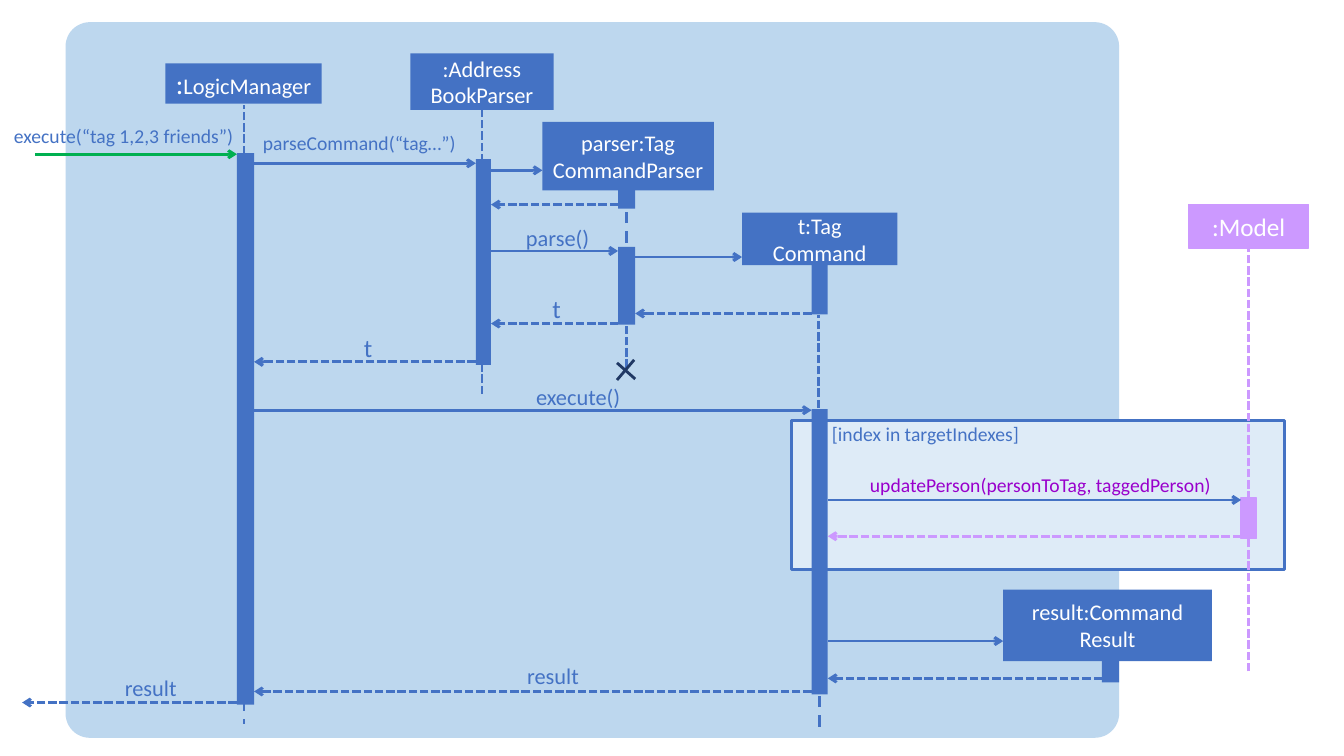
import pptx
import pptx.util
import pptx.dml.color
import pptx.enum.dml
import pptx.enum.shapes
import pptx.enum.text
import pptx.oxml.ns
import lxml.etree

COLORS = {
    "panel": "BDD7EE", "loop": "DEEBF7", "logic": "4472C4", "model": "CC99FF",
    "update": "9900CC", "entry": "00B050", "end": "203864", "white": "FFFFFF",
}
FONT = "Calibri"
LINE_WIDTH = 2
SLIDE_SIZE = (13.33, 7.5)
PANEL = (0.65, 0.22, 10.45, 7.1)
PANEL_ROUNDING = 0.034
LOOP = (7.85, 4.17, 4.89, 1.48)

HEADS = {
    "manager": ([":LogicManager"], (1.64, 0.63, 1.55, 0.4), 16, "logic"),
    "book parser": ([":Address", "BookParser"], (4.07, 0.53, 1.42, 0.56), 16, "logic"),
    "tag parser": (["parser:Tag", "CommandParser"], (5.38, 1.21, 1.7, 0.68), 16, "logic"),
    "command": (["t:Tag", "Command"], (7.36, 2.11, 1.54, 0.52), 16, "logic"),
    "result": (["result:Command", "Result"], (9.95, 5.85, 2.07, 0.71), 16, "logic"),
    "model": ([":Model"], (11.79, 2.03, 1.19, 0.43), 18, "model"),
}
EDGES = {
    "caller": (0.35, 0.35), "reply": (0.22, 0.22),
    "manager": (2.35, 2.52), "book parser": (4.72, 4.87),
    "tag parser": (6.13, 6.3), "command": (8.05, 8.21),
    "result": (10.93, 11.1), "model": (12.31, 12.46),
}
BARS = [
    ("manager", 1.52, 6.99), ("book parser", 1.58, 3.62),
    ("tag parser", 1.84, 2.07), ("tag parser", 2.45, 3.22),
    ("command", 2.63, 3.12), ("command", 4.06, 6.89),
    ("result", 6.54, 6.77), ("model", 4.94, 5.34),
]
LIFELINES = [
    (2.42, 1.53, 1.04, "sysDash", "logic"), (2.42, 6.94, 7.18, "dash", "logic"),
    (4.78, 1.61, 1.08, "sysDash", "logic"), (4.78, 3.91, 3.55, "sysDash", "logic"),
    (6.21, 2.8, 2.01, "dash", "logic"), (6.21, 3.65, 3.22, "sysDash", "logic"),
    (8.12, 4.05, 3.13, "sysDash", "logic"), (8.13, 7.21, 6.81, "dash", "logic"),
    (12.38, 4.96, 2.46, "sysDash", "model"), (12.38, 6.66, 5.28, "sysDash", "model"),
]
CALLS = [
    ("caller", "manager", 1.53, "entry"), ("manager", "book parser", 1.62, "logic"),
    ("book parser", "tag parser", 2.49, "logic"), ("manager", "command", 4.07, "logic"),
    ("command", "model", 4.96, "logic"),
]
CREATIONS = [
    ("book parser", "tag parser", 1.69), ("tag parser", "command", 2.55),
    ("command", "result", 6.36),
]
RETURNS = [
    ("tag parser", "book parser", 2.03, "logic"), ("command", "tag parser", 3.11, "logic"),
    ("tag parser", "book parser", 3.21, "logic"), ("book parser", "manager", 3.59, "logic"),
    ("model", "command", 5.32, "model"), ("result", "command", 6.73, "logic"),
    ("command", "manager", 6.86, "logic"), ("manager", "reply", 6.97, "logic"),
]
CROSS = [(6.12, 3.6, 6.3, 3.76), (6.29, 3.57, 6.12, 3.77)]
LABELS = [
    ("execute(“tag 1,2,3 friends”)", (0.04, 1.18, 2.4, 0.34), 14, "LEFT", "logic"),
    ("parseCommand(“tag…”)", (2.51, 1.25, 2.3, 0.34), 14, "LEFT", "logic"),
    ("parse()", (5.07, 2.17, 0.92, 0.37), 16, "CENTER", "logic"),
    ("t", (5.38, 2.86, 0.39, 0.4), 18, "LEFT", "logic"),
    ("t", (3.51, 3.25, 0.39, 0.4), 18, "LEFT", "logic"),
    ("execute()", (4.55, 3.75, 2.37, 0.37), 16, "CENTER", "logic"),
    ("[index in targetIndexes]", (8.12, 4.14, 2.12, 0.34), 14, "CENTER", "logic"),
    ("updatePerson(personToTag, taggedPerson)", (8.44, 4.64, 3.76, 0.34), 14, "CENTER", "update"),
    ("result", (4.3, 6.52, 2.37, 0.37), 16, "CENTER", "logic"),
    ("result", (1.09, 6.64, 0.81, 0.37), 16, "CENTER", "logic"),
]


def lengths(inches):
    return [pptx.util.Cm(value * 2.54) for value in inches]


def color(name):
    return pptx.dml.color.RGBColor.from_string(COLORS[name])


def add_block(page, place, fill, preset="RECTANGLE", outline=None, weight=1):
    kind = getattr(pptx.enum.shapes.MSO_SHAPE, preset)
    block = page.shapes.add_shape(kind, *lengths(place))
    block.shadow.inherit = False
    block.fill.solid()
    block.fill.fore_color.rgb = color(fill)
    if outline:
        block.line.color.rgb = color(outline)
        block.line.width = pptx.util.Pt(weight)
    else:
        block.line.fill.background()
    return block


def write(box, lines, size, ink, align="CENTER"):
    frame = box.text_frame
    frame.word_wrap = True
    frame.text = "\n".join(lines)
    for para in frame.paragraphs:
        para.alignment = getattr(pptx.enum.text.PP_ALIGN, align)
        for span in para.runs:
            span.font.name = FONT
            span.font.size = pptx.util.Pt(size)
            span.font.color.rgb = color(ink)


def add_line(page, ends, ink, dash=None, arrow=False):
    line = page.shapes.add_connector(pptx.enum.shapes.MSO_CONNECTOR.STRAIGHT, *lengths(ends))
    line.line.color.rgb = color(ink)
    line.line.width = pptx.util.Pt(LINE_WIDTH)
    if dash:
        styles = pptx.enum.dml.MSO_LINE
        line.line.dash_style = styles.DASH if dash == "dash" else styles.SQUARE_DOT
    qn = pptx.oxml.ns.qn
    properties = line._element.spPr
    if arrow:
        lxml.etree.SubElement(properties.find(qn("a:ln")), qn("a:tailEnd"), type="arrow")
    lxml.etree.SubElement(properties, qn("a:effectLst"))


def add_participants(page):
    for x, top, bottom, dash, ink in LIFELINES:
        add_line(page, (x, top, x, bottom), ink, dash)
    for lines, place, size, fill in HEADS.values():
        outline = "model" if fill == "model" else None
        write(add_block(page, place, fill, outline=outline), lines, size, "white")
    first_span = page.shapes[-len(HEADS)].text_frame.paragraphs[0].runs[0]
    first_span.text = ":"
    first_span.font.size = pptx.util.Pt(20)
    name_span = page.shapes[-len(HEADS)].text_frame.paragraphs[0].add_run()
    name_span.text = HEADS["manager"][0][0][1:]
    name_span.font.name = FONT
    name_span.font.size = pptx.util.Pt(16)
    name_span.font.color.rgb = color("white")
    for owner, top, bottom in BARS:
        left, right = EDGES[owner]
        fill = HEADS[owner][3]
        outline = "model" if fill == "model" else None
        add_block(page, (left, top, right - left, bottom - top), fill, outline=outline)


def add_messages(page):
    for source, target, y, ink in CALLS:
        add_line(page, (EDGES[source][1], y, EDGES[target][0], y), ink, arrow=True)
    for source, target, y in CREATIONS:
        head_left = HEADS[target][1][0]
        add_line(page, (EDGES[source][1], y, head_left, y), "logic", arrow=True)
    for source, target, y, ink in RETURNS:
        add_line(page, (EDGES[source][0], y, EDGES[target][1], y), ink, "sysDash", True)
    for ends in CROSS:
        add_line(page, ends, "end")
    for text, place, size, align, ink in LABELS:
        write(page.shapes.add_textbox(*lengths(place)), [text], size, ink, align)


def main():
    """Build the sequence diagram of the tag command."""
    deck = pptx.Presentation()
    deck.slide_width, deck.slide_height = lengths(SLIDE_SIZE)
    page = deck.slides.add_slide(deck.slide_layouts[6])
    panel = add_block(page, PANEL, "panel", "ROUNDED_RECTANGLE")
    panel.adjustments[0] = PANEL_ROUNDING
    add_block(page, LOOP, "loop", outline="logic", weight=2.25)
    add_participants(page)
    add_messages(page)
    deck.save("out.pptx")


if __name__ == "__main__":
    main()
